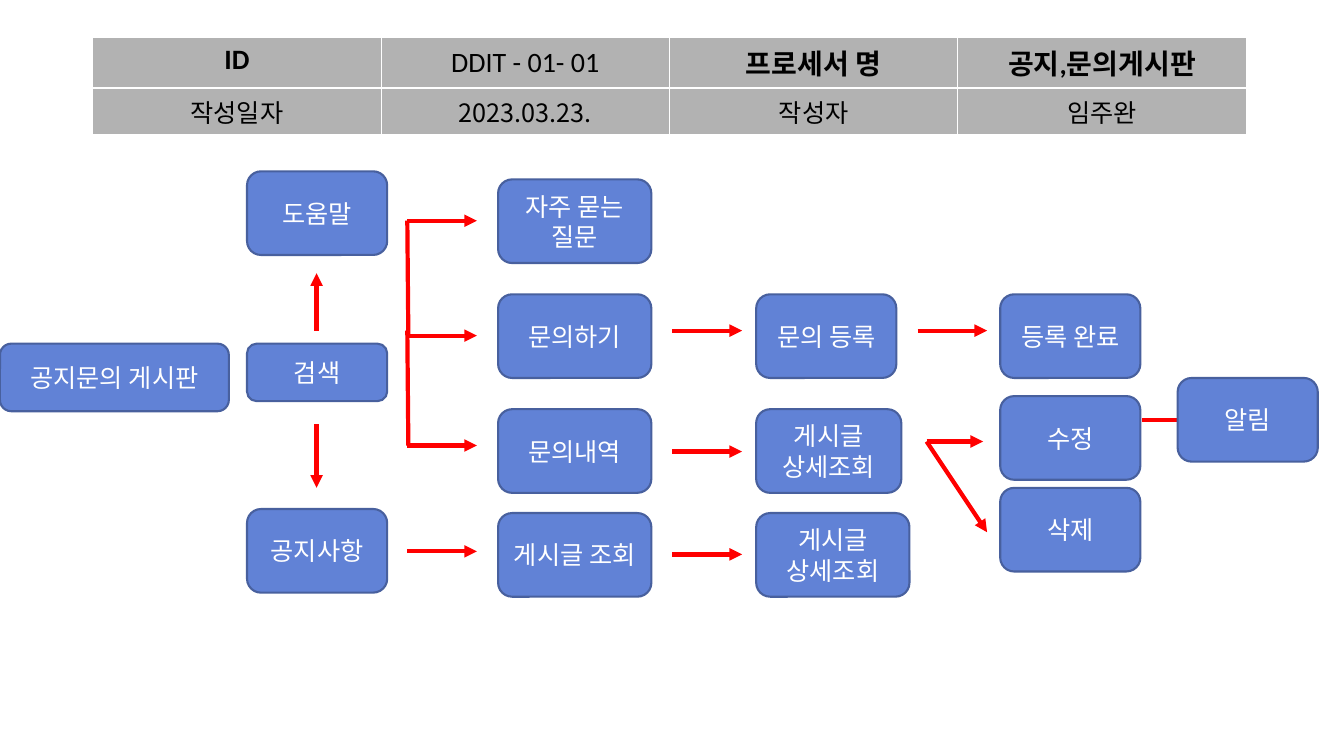
from lxml import etree
from pptx import Presentation, util as u
from pptx.dml.color import RGBColor
from pptx.enum import shapes, text
from pptx.oxml import ns


def color(value):
    return RGBColor.from_string(value)


class ProcessPage:
    """Draws the header table, boxes and arrows of a process flow on one slide."""

    asian_font = "Noto Sans CJK KR"
    latin_font = "Calibri"
    box_fill, box_line, arrow_red = "6182D6", "48609E", "FF0000"
    cell_fill, cell_line = "B2B2B2", "FFFFFF"

    def __init__(self, deck):
        self.page = deck.slides.add_slide(deck.slide_layouts[6])

    def label(self, frame, words, ink, font, size=18, bold=False):
        frame.word_wrap = True
        para = frame.paragraphs[0]
        para.alignment = text.PP_ALIGN.CENTER
        span = para.add_run()
        span.text = words
        span.font.name = font
        span.font.size = u.Pt(size)
        span.font.bold = bold
        span.font.color.rgb = color(ink)
        latin = span.font._element.find(ns.qn("a:latin"))
        asian = etree.Element(ns.qn("a:ea"), typeface=self.asian_font)
        latin.addnext(asian)

    def box(self, words, left, top, width=1.39, height=0.83):
        box = self.page.shapes.add_shape(
            shapes.MSO_SHAPE.ROUNDED_RECTANGLE,
            u.Inches(left), u.Inches(top), u.Inches(width), u.Inches(height))
        box.shadow.inherit = False
        box.fill.solid()
        box.fill.fore_color.rgb = color(self.box_fill)
        box.line.color.rgb = color(self.box_line)
        box.line.width = u.Pt(1.5)
        box.text_frame.vertical_anchor = text.MSO_ANCHOR.MIDDLE
        self.label(box.text_frame, words, "FFFFFF", self.asian_font)

    def line(self, x1, y1, x2, y2, arrow=True):
        line = self.page.shapes.add_connector(
            shapes.MSO_CONNECTOR.STRAIGHT,
            u.Inches(x1), u.Inches(y1), u.Inches(x2), u.Inches(y2))
        line.line.color.rgb = color(self.arrow_red)
        line.line.width = u.Pt(3)
        properties = line._element.spPr
        if arrow:
            etree.SubElement(properties.find(ns.qn("a:ln")), ns.qn("a:tailEnd"), type="triangle")
        etree.SubElement(properties, ns.qn("a:effectLst"))

    def borders(self, cell):
        properties = cell._tc.get_or_add_tcPr()
        for index, side in enumerate(("lnL", "lnR", "lnT", "lnB")):
            edge = etree.Element(ns.qn(f"a:{side}"), w=str(u.Pt(1)))
            fill = etree.SubElement(edge, ns.qn("a:solidFill"))
            etree.SubElement(fill, ns.qn("a:srgbClr"), val=self.cell_line)
            properties.insert(index, edge)

    def header(self, rows, left, top, column_width, row_heights):
        columns = len(rows[0])
        table = self.page.shapes.add_table(
            len(rows), columns, u.Inches(left), u.Inches(top),
            u.Inches(column_width * columns), u.Inches(sum(row_heights))).table
        for column in table.columns:
            column.width = u.Inches(column_width)
        for r, (words_row, height) in enumerate(zip(rows, row_heights)):
            table.rows[r].height = u.Inches(height)
            for c, words in enumerate(words_row):
                cell = table.cell(r, c)
                cell.fill.solid()
                cell.fill.fore_color.rgb = color(self.cell_fill)
                self.borders(cell)
                code = (r, c) == (0, 1)
                if code:
                    cell.vertical_anchor = text.MSO_ANCHOR.MIDDLE
                    cell.margin_left = cell.margin_right = 0
                    cell.margin_top = cell.margin_bottom = 0
                font, size = (self.asian_font, 18) if r else (self.latin_font, 20)
                self.label(cell.text_frame, words, "000000", font, size, r == 0 and not code)


def main():
    deck = Presentation()
    deck.slide_width, deck.slide_height = u.Inches(13.33), u.Inches(7.5)
    flow = ProcessPage(deck)
    flow.header([["ID", "DDIT - 01- 01", "프로세서 명", "공지,문의게시판"],
                 ["작성일자", "2023.03.23.", "작성자", "임주완"]],
                0.92, 0.37, 2.86, (0.43, 0.41))

    menu, branch, topic, detail, result = 2.45, 4.04, 4.94, 7.5, 9.92
    for start, heights in ((branch, (2.19, 3.33, 4.42, 5.47)),
                           (6.67, (3.28, 4.48, 5.5)),
                           (9.1, (3.28,)),
                           (11.33, (4.17,))):
        for y in heights:
            flow.line(start, y, start + 0.69, y)
    for y1, y2 in ((2.19, 3.34), (3.28, 4.42)):
        flow.line(branch, y1, branch + 0.01, y2, arrow=False)
    for y1, y2 in ((3.28, 2.71), (4.21, 4.84)):
        flow.line(3.14, y1, 3.14, y2)
    for x, y in ((9.75, 4.38), (9.79, 5.28)):
        flow.line(9.19, 4.38, x, y)

    flow.box("공지문의 게시판", 0, 3.41, 2.27, 0.67)
    flow.box("도움말", menu, 1.7)
    flow.box("검색", menu, 3.41, height=0.57)
    flow.box("공지사항", menu, 5.05)
    for words, top in (("자주 묻는 질문", 1.78), ("문의하기", 2.92),
                       ("문의내역", 4.06), ("게시글 조회", 5.09)):
        flow.box(words, topic, top, 1.52)
    for words, top, width in (("문의 등록", 2.92, 1.39), ("게시글 상세조회", 4.06, 1.44),
                              ("게시글 상세조회", 5.09, 1.52)):
        flow.box(words, detail, top, width)
    for words, top in (("등록 완료", 2.92), ("수정", 3.93), ("삭제", 4.84)):
        flow.box(words, result, top)
    flow.box("알림", 11.68, 3.75)
    deck.save("out.pptx")


if __name__ == "__main__":
    main()
